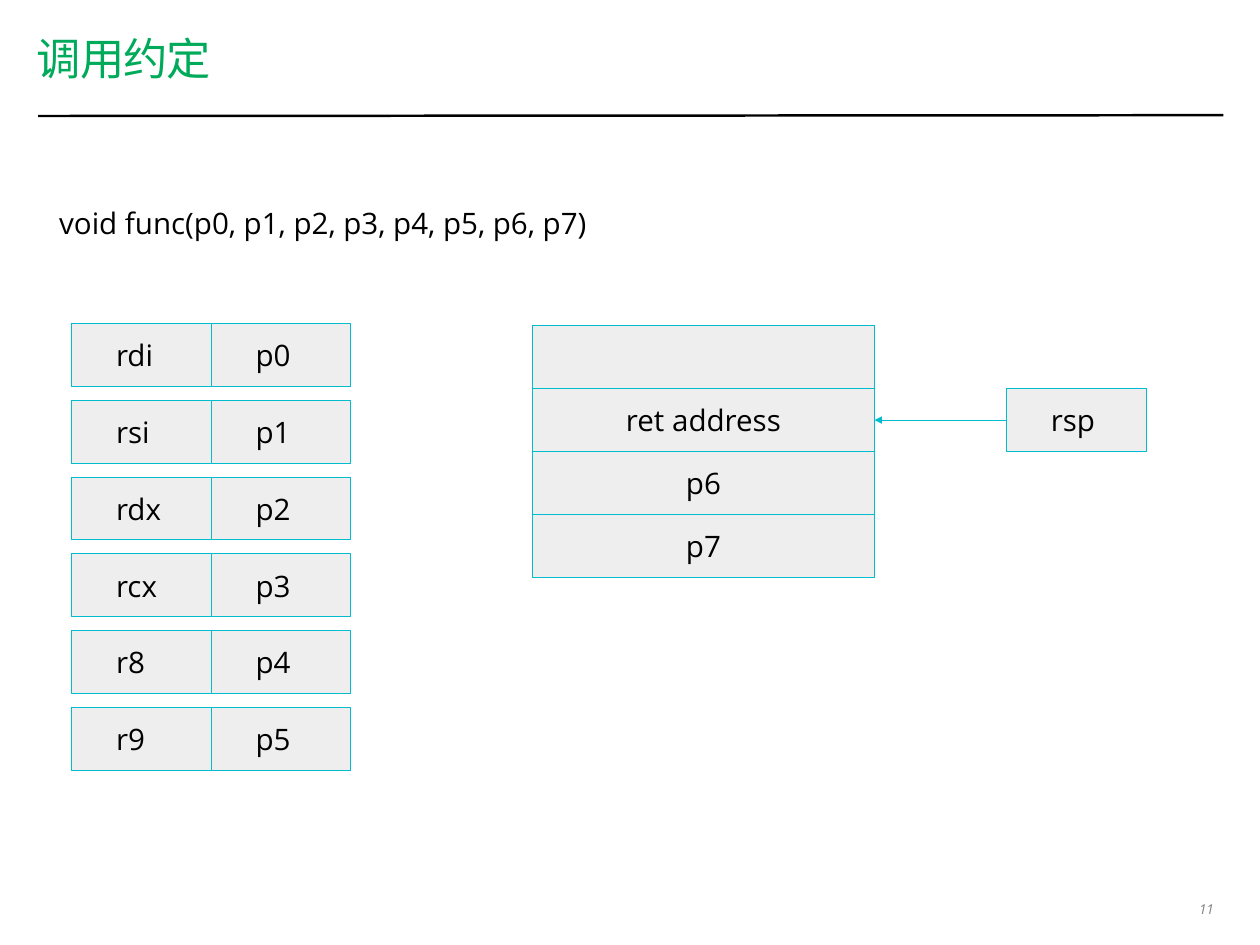
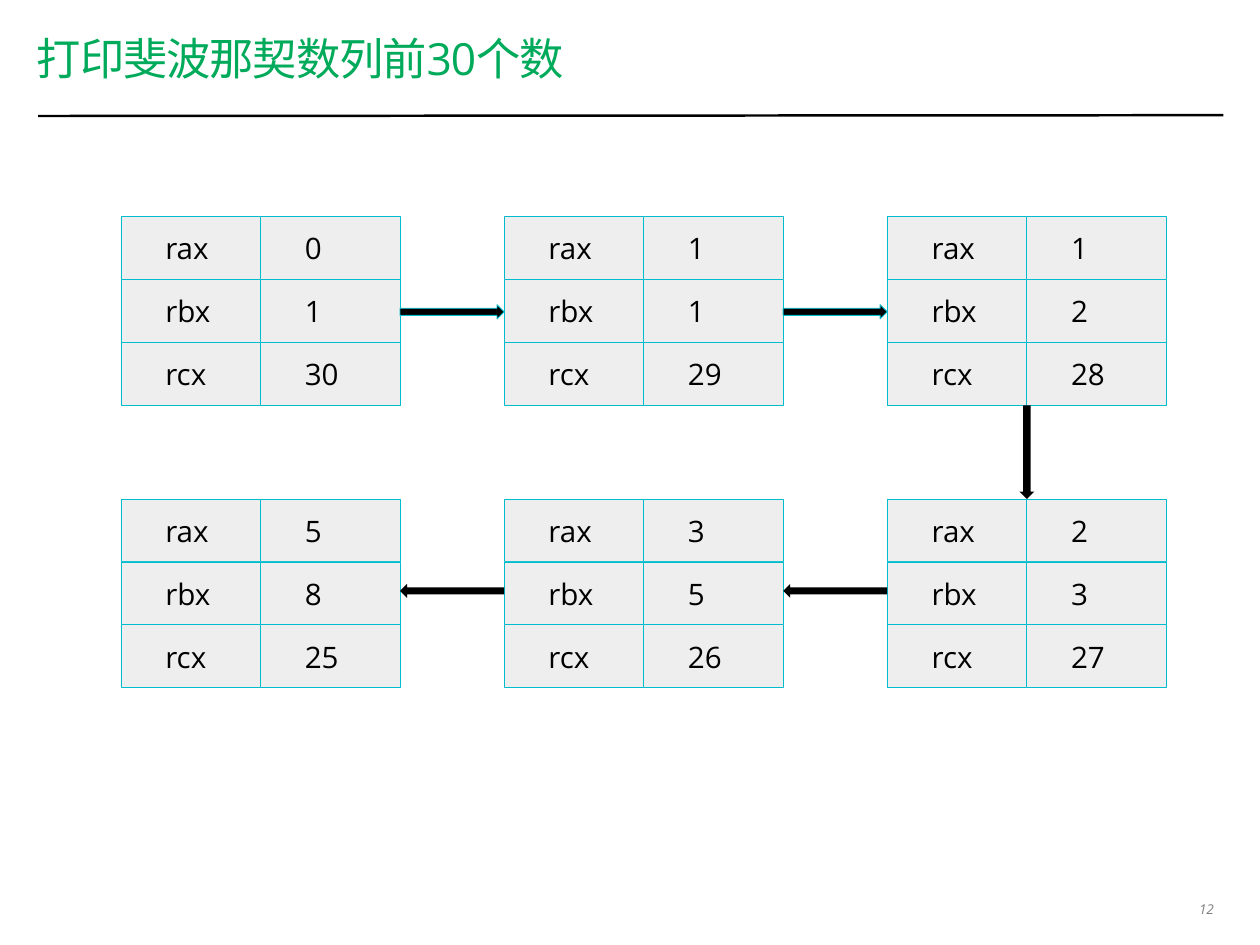
import pptx
import pptx.util
import pptx.dml.color
import pptx.enum.shapes
import pptx.enum.text
import pptx.oxml
import pptx.oxml.ns

Pt = pptx.util.Pt
SHAPES = pptx.enum.shapes.MSO_SHAPE
ALIGN = pptx.enum.text.PP_ALIGN
ANCHOR = pptx.enum.text.MSO_ANCHOR

# Content
CALL_TITLE = "调用约定"
SIGNATURE = "void func(p0, p1, p2, p3, p4, p5, p6, p7)"
ARGUMENTS = [("rdi", "p0"), ("rsi", "p1"), ("rdx", "p2"),
             ("rcx", "p3"), ("r8", "p4"), ("r9", "p5")]
STACK = ["", "ret address", "p6", "p7"]
STACK_POINTER = "rsp"
FIBONACCI_TITLE = "打印斐波那契数列前30个数"
REGISTERS = ["rax", "rbx", "rcx"]
STATES = [(0, 1, 30), (1, 1, 29), (1, 2, 28),
          (2, 3, 27), (3, 5, 26), (5, 8, 25)]

# Shared look
FONT = "Open Sans"
GREEN, BLACK, GRAY = "00AA5B", "000000", "808184"
CELL_FILL, CELL_LINE = "EEEEEE", "00BCCD"
CELL_WIDTH, CELL_HEIGHT = 113.4, 51.15


def color(value):
    return pptx.dml.color.RGBColor.from_string(value)


def style_text(shape, text, size=24, ink=BLACK, align=ALIGN.LEFT, italic=False):
    para = shape.text_frame.paragraphs[0]
    para.text = text
    para.alignment = align
    para.font.name = FONT
    para.font.size = Pt(size)
    para.font.italic = italic
    para.font.color.rgb = color(ink)
    return para


def set_margins(frame, across, down):
    frame.margin_left = frame.margin_right = Pt(across)
    frame.margin_top = frame.margin_bottom = Pt(down)


def add_text(page, text, left, top, width, height, **style):
    box = page.shapes.add_textbox(Pt(left), Pt(top), Pt(width), Pt(height))
    box.text_frame.word_wrap = True
    return box, style_text(box, text, **style)


def add_block(page, kind, left, top, width, height, fill, outline=None):
    block = page.shapes.add_shape(kind, Pt(left), Pt(top), Pt(width), Pt(height))
    block.shadow.inherit = False
    block.fill.solid()
    block.fill.fore_color.rgb = color(fill)
    if outline:
        block.line.color.rgb = color(outline)
        block.line.width = Pt(0.75)
    else:
        block.line.fill.background()
    return block


def add_cell(page, text, left, top, width=CELL_WIDTH, align=ALIGN.LEFT):
    cell = add_block(page, SHAPES.RECTANGLE, left, top, width, CELL_HEIGHT,
                     CELL_FILL, CELL_LINE)
    if text:
        frame = cell.text_frame
        set_margins(frame, 36, 18)
        frame.vertical_anchor = ANCHOR.MIDDLE
        style_text(cell, text, align=align)
    return cell


def add_pair(page, name, value, left, top):
    add_cell(page, name, left, top)
    add_cell(page, value, left + CELL_WIDTH, top)


def add_line(page, start, end, ink, width):
    line = page.shapes.add_connector(
        pptx.enum.shapes.MSO_CONNECTOR.STRAIGHT, *map(Pt, start + end))
    line.line.color.rgb = color(ink)
    line.line.width = Pt(width)
    line._element.spPr.append(pptx.oxml.parse_xml(
        f"<a:effectLst {pptx.oxml.ns.nsdecls('a')}/>"))
    return line


def add_page(deck, title, number):
    page = deck.slides.add_slide(deck.slide_layouts[6])
    add_line(page, (31, 94.3), (994.3, 93.6), BLACK, 2)
    box, para = add_text(page, title, 30, 23.8, 964, 56.9, size=36, ink=GREEN)
    set_margins(box.text_frame, 0, 0)
    box.text_frame.vertical_anchor = ANCHOR.MIDDLE
    para.line_spacing = 0.7
    para.runs[0]._r.get_or_add_rPr().set("spc", "-90")
    number_box, _ = add_text(page, str(number), 963.7, 728.3, 30, 23, size=11,
                             ink=GRAY, align=ALIGN.RIGHT, italic=True)
    number_box.text_frame.margin_left = 0
    return page


def build_call_page(deck):
    page = add_page(deck, CALL_TITLE, 11)
    add_text(page, SIGNATURE, 41, 162.7, 658, 36)

    # Register arguments
    for row, (register, argument) in enumerate(ARGUMENTS):
        add_pair(page, register, argument, 58.3, 262.9 + row * 62.4)

    # Stack and its pointer
    stack_left, stack_top, stack_width = 432.7, 264.7, 278
    cells = [add_cell(page, text, stack_left, stack_top + row * CELL_HEIGHT,
                      stack_width, ALIGN.CENTER)
             for row, text in enumerate(STACK)]
    pointer_left, pointer_top = 818, stack_top + CELL_HEIGHT
    pointer = add_cell(page, STACK_POINTER, pointer_left, pointer_top)
    middle = pointer_top + CELL_HEIGHT / 2
    arrow = add_line(page, (pointer_left, middle),
                     (stack_left + stack_width, middle), CELL_LINE, 0.75)
    arrow.begin_connect(pointer, 1)
    arrow.end_connect(cells[1], 3)
    arrow.line._get_or_add_ln().append(pptx.oxml.parse_xml(
        f"<a:tailEnd {pptx.oxml.ns.nsdecls('a')} type='triangle'/>"))


def build_fibonacci_page(deck):
    page = add_page(deck, FIBONACCI_TITLE, 12)
    columns = 3
    grid_left, pitch = 98.3, 311.4
    row_tops, arrow_tops = (176, 405.6), (247.7, 474.5)
    state_width = 2 * CELL_WIDTH
    state_height = len(REGISTERS) * CELL_HEIGHT

    # Register states, first row rightwards, second row leftwards
    for index, values in enumerate(STATES):
        row, column = divmod(index, columns)
        if row:
            column = columns - 1 - column
        for line, (register, value) in enumerate(zip(REGISTERS, values)):
            add_pair(page, register, str(value), grid_left + column * pitch,
                     row_tops[row] + line * CELL_HEIGHT)

    # Arrows across the gaps
    arrow_styles = [(SHAPES.RIGHT_ARROW, CELL_LINE), (SHAPES.LEFT_ARROW, None)]
    for top, (kind, outline) in zip(arrow_tops, arrow_styles):
        for gap in range(columns - 1):
            add_block(page, kind, grid_left + state_width + gap * pitch, top,
                      pitch - state_width, 11.5, BLACK, outline)

    # Arrow down to the second row
    down_width = 12.2
    state_bottom = row_tops[0] + state_height
    center = grid_left + (columns - 1) * pitch + CELL_WIDTH
    add_block(page, SHAPES.DOWN_ARROW, center - down_width / 2, state_bottom,
              down_width, row_tops[1] - state_bottom, BLACK)


def main():
    deck = pptx.Presentation()
    deck.slide_width, deck.slide_height = Pt(1024), Pt(768)
    build_call_page(deck)
    build_fibonacci_page(deck)
    deck.save("out.pptx")


if __name__ == "__main__":
    main()
